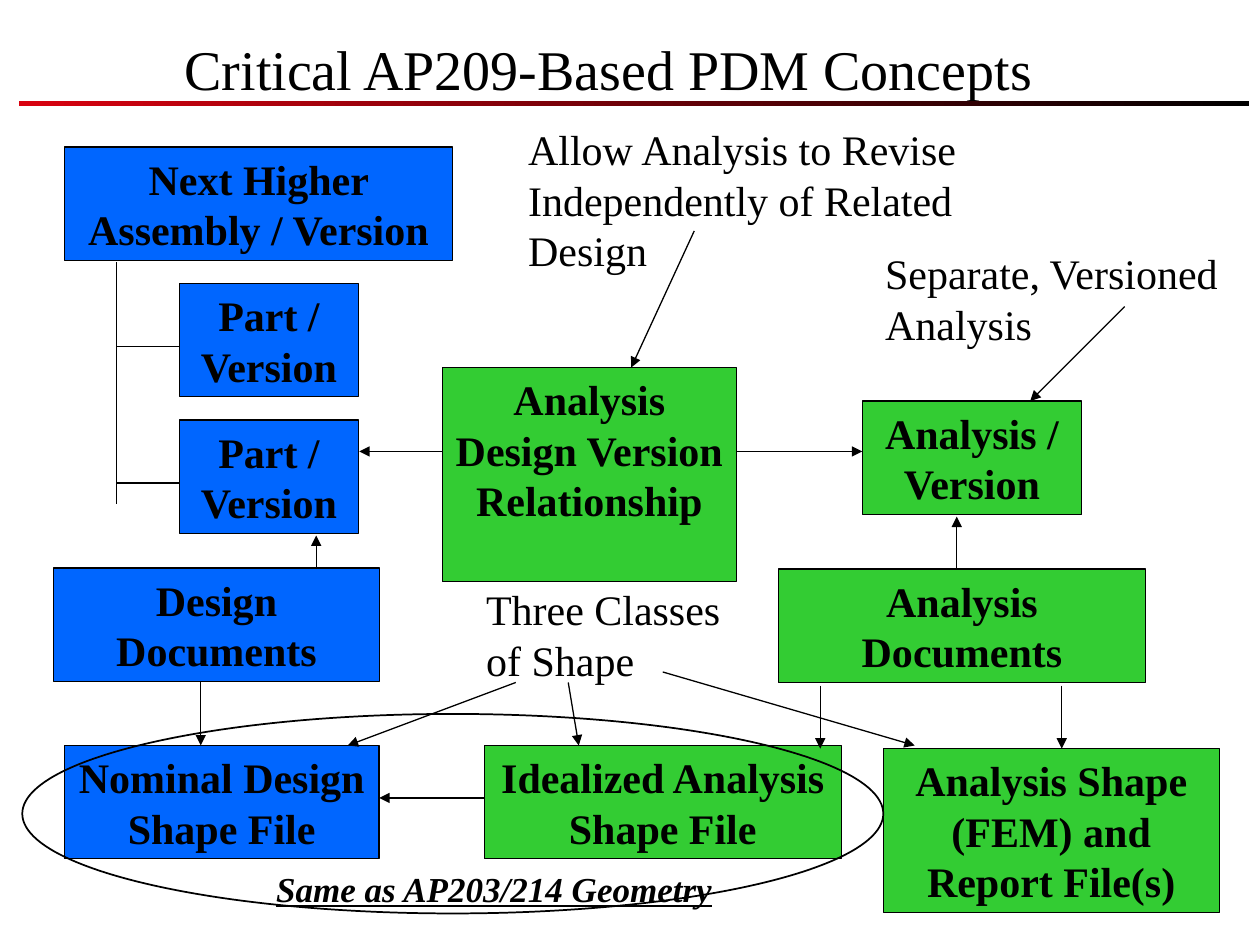
from typing import NamedTuple
from lxml import etree
from pptx import Presentation
from pptx.dml.color import RGBColor
from pptx.enum.shapes import MSO_CONNECTOR, MSO_SHAPE
from pptx.enum.text import MSO_ANCHOR, MSO_AUTO_SIZE, PP_ALIGN
from pptx.oxml.ns import qn
from pptx.util import Inches, Pt

RECT, OVAL = MSO_SHAPE.RECTANGLE, MSO_SHAPE.OVAL
LINE = MSO_CONNECTOR.STRAIGHT
TOP, MID = MSO_ANCHOR.TOP, MSO_ANCHOR.MIDDLE
LEFT, MIDST = PP_ALIGN.LEFT, PP_ALIGN.CENTER
FIXED = MSO_AUTO_SIZE.NONE

COLS, ROWS = 120, 90
SHIFT = Inches(0.01)
HUES = {"ink": "000000", "design": "0066FF", "study": "33CC33", "red": "D90210"}
BODY = {"name": "Times New Roman", "size": Pt(24), "bold": False}
BOLD = {**BODY, "bold": True}
HEAD = {**BODY, "size": Pt(32)}
FOOT = {**BOLD, "size": Pt(20), "italic": True, "underline": True}


class Box(NamedTuple):
    text: str
    hue: str
    col: float
    row: float
    wide: float
    lines: int = 2


class Note(NamedTuple):
    text: str
    col: float
    row: float
    wide: float
    lines: int = 2
    form: dict = BODY


class Link(NamedTuple):
    col: float
    row: float
    to_col: float
    to_row: float
    arrow: bool = True


BOXES = [
    Box("Next Higher Assembly / Version", "design", 6, 14, 37),
    Box("Part / Version", "design", 17, 27, 17),
    Box("Part / Version", "design", 17, 40, 17),
    Box("Design Documents", "design", 5, 54.1, 31),
    Box("Nominal Design Shape File", "design", 6, 71, 30),
    Box("Analysis Design Version Relationship", "study", 42, 35, 28, 4),
    Box("Analysis / Version", "study", 82, 38.2, 20.9),
    Box("Analysis Documents", "study", 74, 54.2, 35),
    Box("Idealized Analysis Shape File", "study", 46, 71, 34),
    Box("Analysis Shape (FEM) and Report File(s)", "study", 84, 71.3, 32, 3),
]
NOTES = [
    Note("Allow Analysis to Revise Independently of Related Design", 49, 11.2, 48, 3),
    Note("Separate, Versioned Analysis", 83, 23, 35),
    Note("Three Classes of Shape", 45, 55, 25),
    Note("Same as AP203/214 Geometry", 25, 82, 49, 1, FOOT),
]
LINKS = [
    Link(11, 25, 11, 48, False),
    Link(11, 33, 17, 33, False),
    Link(11, 46, 17, 46, False),
    Link(30, 54, 30, 51),
    Link(19, 65, 19, 71),
    Link(42, 43, 34.1, 43),
    Link(70, 43, 82, 43),
    Link(91, 54.2, 91, 49.2),
    Link(78, 65.3, 78, 71.3),
    Link(101, 65.3, 101, 71.3),
    Link(46, 76, 36, 76),
    Link(66, 22, 60, 35),
    Link(107, 29.2, 98, 38.2),
    Link(49, 65, 33, 71),
    Link(54, 65, 55, 71),
    Link(63, 64, 87, 71),
]

deck = Presentation()
deck.slide_width, deck.slide_height = Inches(10), Inches(7.5)
slide = deck.slides.add_slide(deck.slide_layouts[5])
shapes = slide.shapes


def across(cols: float) -> int:
    return round(deck.slide_width * cols / COLS)


def down(rows: float) -> int:
    return round(deck.slide_height * rows / ROWS)


def area(col: float, row: float, wide: float, high: float) -> tuple:
    return across(col) + SHIFT, down(row), across(wide), down(high)


def tall(lines: int) -> float:
    return 4.8 * lines + 1.2


def hue(key: str) -> RGBColor:
    return RGBColor.from_string(HUES[key])


def write(shape, text: str, form: dict, align=LEFT, anchor=TOP) -> None:
    frame = shape.text_frame
    frame.text = text
    look = {"word_wrap": True, "auto_size": FIXED, "vertical_anchor": anchor}
    for key, value in look.items():
        setattr(frame, key, value)
    para = frame.paragraphs[0]
    para.alignment = align
    for key, value in form.items():
        setattr(para.font, key, value)
    para.font.color.rgb = hue("ink")


def edge(item, width: float = 0.75) -> None:
    item.line.color.rgb = hue("ink")
    item.line.width = Pt(width)


def draw_box(box: Box) -> None:
    shape = shapes.add_shape(RECT, *area(box.col, box.row, box.wide, tall(box.lines)))
    shape.shadow.inherit = False
    shape.fill.solid()
    shape.fill.fore_color.rgb = hue(box.hue)
    edge(shape)
    write(shape, box.text, BOLD, MIDST)


def draw_note(note: Note) -> None:
    shape = shapes.add_textbox(*area(note.col, note.row, note.wide, tall(note.lines)))
    write(shape, note.text, note.form)


def draw_link(link: Link) -> None:
    start = across(link.col) + SHIFT, down(link.row)
    end = across(link.to_col) + SHIFT, down(link.to_row)
    wire = shapes.add_connector(LINE, *start, *end)
    edge(wire)
    if link.arrow:
        etree.SubElement(wire.line._get_or_add_ln(), qn("a:tailEnd"), type="triangle")
    etree.SubElement(wire._element.spPr, qn("a:effectLst"))


def draw_title() -> None:
    title = shapes.title
    spot = (0, down(1), across(116), down(11))
    for key, value in zip(("left", "top", "width", "height"), spot):
        setattr(title, key, value)
    write(title, "Critical AP209-Based PDM Concepts", HEAD, MIDST, MID)


def draw_rule() -> None:
    rule = shapes.add_shape(RECT, *area(1.7, 9.6, 117.1, 0.5))
    rule.shadow.inherit = False
    rule.line.fill.background()
    rule.fill.gradient()
    rule.fill.gradient_angle = 0
    for stop, key, place in zip(rule.fill.gradient_stops, ("red", "ink"), (0, 1)):
        stop.color.rgb = hue(key)
        stop.position = place


def draw_ring() -> None:
    ring = shapes.add_shape(OVAL, *area(2, 68, 82, 19))
    ring.shadow.inherit = False
    ring.fill.background()
    edge(ring, 1)


draw_title()
draw_rule()
for box in BOXES:
    draw_box(box)
for link in LINKS:
    draw_link(link)
draw_ring()
for note in NOTES:
    draw_note(note)
deck.save("out.pptx")
